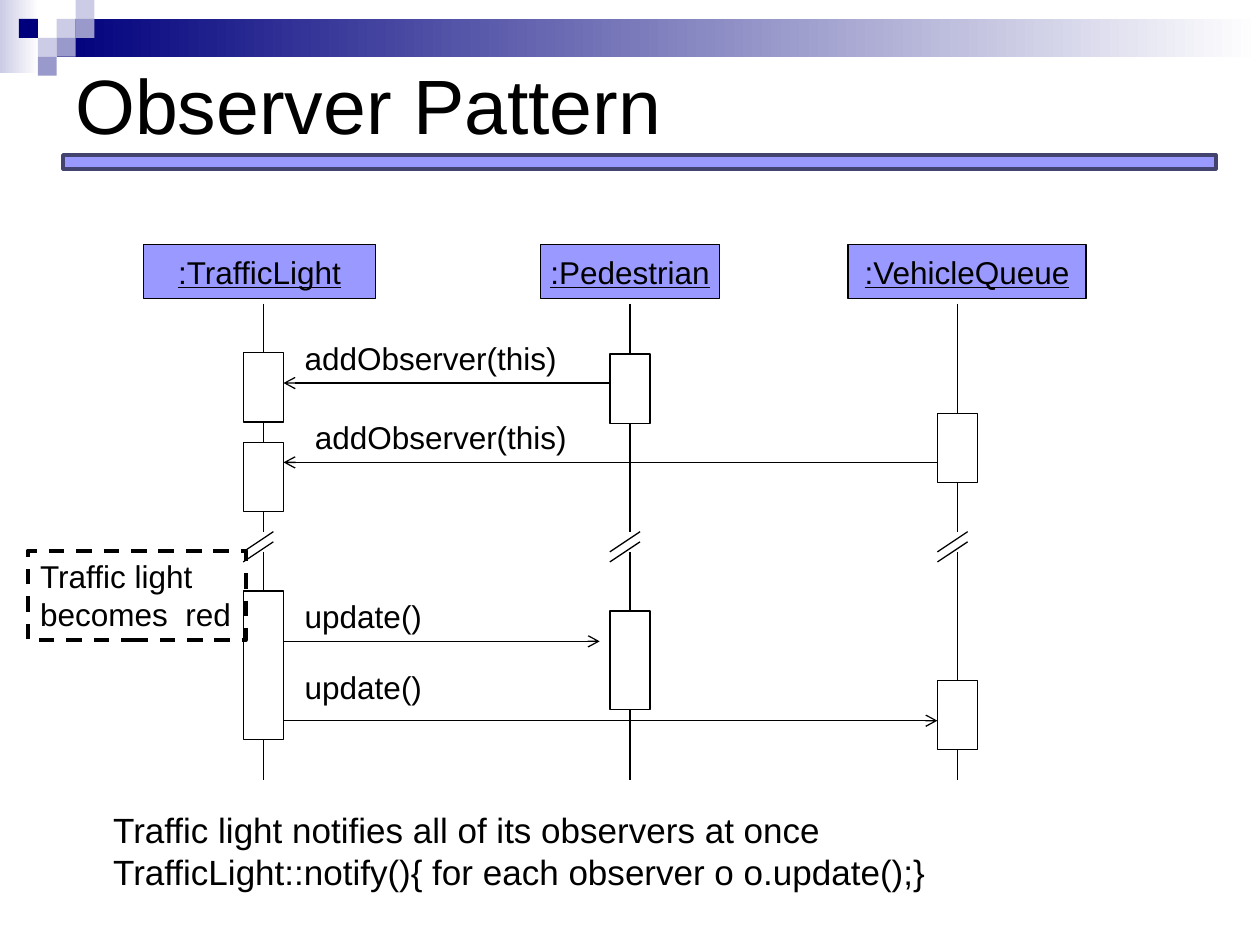
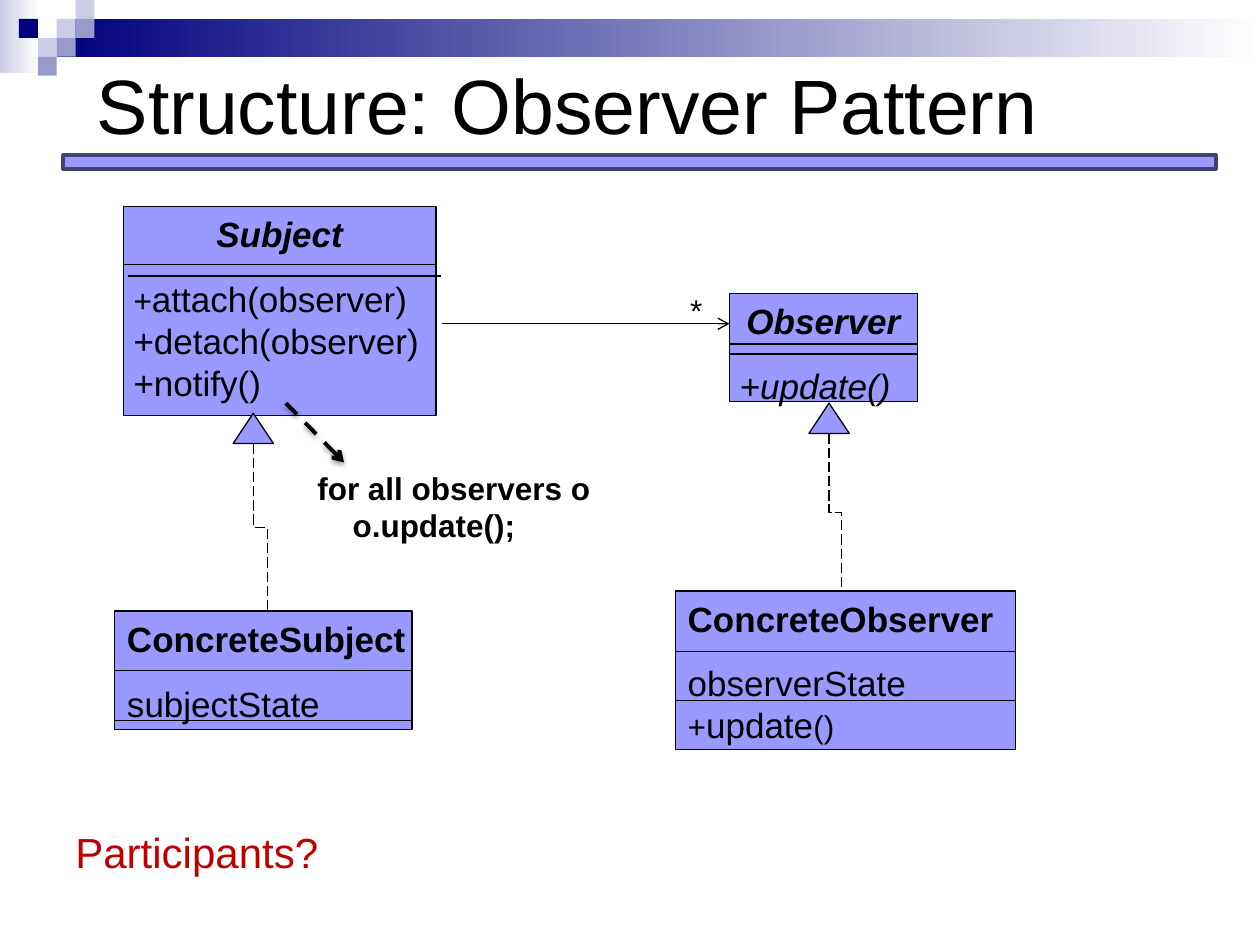
from dataclasses import dataclass

from lxml import etree
from pptx import Presentation
from pptx.dml.color import RGBColor
from pptx.enum.dml import MSO_LINE
from pptx.enum.shapes import MSO_CONNECTOR, MSO_SHAPE
from pptx.enum.text import MSO_ANCHOR, PP_ALIGN
from pptx.oxml.ns import qn
from pptx.util import Inches, Pt

RECT, TRIANGLE = MSO_SHAPE.RECTANGLE, MSO_SHAPE.ISOSCELES_TRIANGLE
STRAIGHT, ELBOW = MSO_CONNECTOR.STRAIGHT, MSO_CONNECTOR.ELBOW
DASH, LONG_DASH = MSO_LINE.DASH, MSO_LINE.LONG_DASH
TOP, MIDDLE = MSO_ANCHOR.TOP, MSO_ANCHOR.MIDDLE
LEFT, CENTER = PP_ALIGN.LEFT, PP_ALIGN.CENTER


@dataclass(frozen=True)
class Theme:
    font: str = "Arial"
    ink: RGBColor = RGBColor(0, 0, 0)
    paper: RGBColor = RGBColor(0xFF, 0xFF, 0xFF)
    navy: RGBColor = RGBColor(0x00, 0x00, 0x7D)
    mist: RGBColor = RGBColor(0xCC, 0xCC, 0xE6)
    slate: RGBColor = RGBColor(0x99, 0x99, 0xCC)
    violet: RGBColor = RGBColor(0x99, 0x99, 0xFF)
    rule_edge: RGBColor = RGBColor(0x43, 0x43, 0x70)
    question: RGBColor = RGBColor(0xC0, 0x00, 0x00)
    title: float = 44
    prompt: float = 24
    body: float = 20
    label: float = 18
    thin: float = 0.75
    rule: float = 2
    thick: float = 2.25


THEME = Theme()


@dataclass(frozen=True)
class Box:
    left: float
    top: float
    width: float
    height: float

    def inner(self, x, y, width, height):
        """Return a box whose corner is measured from this one's corner."""
        return Box(self.left + x, self.top + y, width, height)

    def inches(self):
        return [Inches(v) for v in (self.left, self.top, self.width, self.height)]


@dataclass(frozen=True)
class Run:
    text: str
    size: float = THEME.label
    bold: bool = False
    italic: bool = False
    underline: bool = False
    color: RGBColor = THEME.ink


@dataclass(frozen=True)
class Para:
    runs: tuple
    align: PP_ALIGN = LEFT
    before: float = 0
    indent: float = 0


def para(text, size=THEME.label, align=LEFT, before=0, indent=0, **style):
    return Para((Run(text, size, **style),), align, before, indent)


def write(shape, paras, anchor=TOP, sides=(0.1, 0)):
    """Fill a shape with paragraphs; sides are the left and right insets."""
    frame = shape.text_frame
    frame.word_wrap = True
    frame.vertical_anchor = anchor
    frame.margin_left, frame.margin_right = map(Inches, sides)
    for i, item in enumerate(paras):
        paragraph = frame.add_paragraph() if i else frame.paragraphs[0]
        paragraph.alignment = item.align
        paragraph.space_before = Pt(item.before)
        if item.indent:
            paragraph._p.get_or_add_pPr().set("marL", str(Inches(item.indent)))
        for piece in item.runs:
            run = paragraph.add_run()
            run.text = piece.text
            font = run.font
            font.name, font.size = THEME.font, Pt(piece.size)
            font.bold, font.italic = piece.bold, piece.italic
            font.underline = piece.underline
            font.color.rgb = piece.color


def add_text(slide, box, paras, **layout):
    write(slide.shapes.add_textbox(*box.inches()), paras, **layout)


def add_block(slide, box, fill=None, edge=THEME.ink, width=THEME.thin, kind=RECT):
    """Draw a preset shape; a pair of colours as fill makes a gradient."""
    shape = slide.shapes.add_shape(kind, *box.inches())
    shape.shadow.inherit = False
    if fill is None:
        shape.fill.background()
    elif isinstance(fill, list):
        shape.fill.gradient()
        shape.fill.gradient_angle = 0
        for stop, color in zip(shape.fill.gradient_stops, fill):
            stop.color.rgb = color
    else:
        shape.fill.solid()
        shape.fill.fore_color.rgb = fill
    if edge is None:
        shape.line.fill.background()
    else:
        shape.line.color.rgb = edge
        shape.line.width = Pt(width)
    return shape


def add_line(slide, start, end, width=THEME.thin, dash=None, arrow=False,
             kind=STRAIGHT, shadow=False):
    line = slide.shapes.add_connector(kind, *map(Inches, (*start, *end)))
    line.line.color.rgb = THEME.ink
    line.line.width = Pt(width)
    if dash is not None:
        line.line.dash_style = dash
    if arrow:
        etree.SubElement(line.get_or_add_ln(), qn("a:tailEnd"), type="arrow")
    effects = etree.SubElement(line._element.spPr, qn("a:effectLst"))
    if shadow:
        outer = etree.SubElement(effects, qn("a:outerShdw"), blurRad=str(Pt(3.1)),
                                 dist=str(Pt(1.6)), dir="5400000", rotWithShape="0")
        black = etree.SubElement(outer, qn("a:srgbClr"), val=str(THEME.ink))
        etree.SubElement(black, qn("a:alpha"), val="38000")
    return line


def add_drop(slide, start, end):
    """Dashed elbow that leaves downwards and arrives downwards."""
    (x1, y1), (x2, y2) = start, end
    mid_x, mid_y = (x1 + x2) / 2, (y1 + y2) / 2
    half_run, half_rise = (y2 - y1) / 2, (x2 - x1) / 2
    elbow = add_line(slide, (mid_x - half_run, mid_y - half_rise),
                     (mid_x + half_run, mid_y + half_rise), dash=LONG_DASH, kind=ELBOW)
    xfrm = elbow._element.spPr.find(qn("a:xfrm"))
    xfrm.set("rot", str(270 * 60000))
    xfrm.set("flipH", "1")


def add_frame(slide, title, shift=0):
    """Banner, mosaic, rule and title shared by all slides."""
    tile = 0.15
    add_block(slide, Box(0, 0, 0.31, 0.58), [THEME.mist, THEME.paper], None)
    add_block(slide, Box(0.45, tile, 9.55, 0.3), [THEME.navy, THEME.paper], None)
    mosaic = [(3, 1, THEME.mist), (4, 0, THEME.mist), (4, 1, THEME.slate),
              (2, 2, THEME.mist), (1, 1, THEME.navy), (3, 2, THEME.slate),
              (2, 3, THEME.slate)]
    for column, row, color in mosaic:
        add_block(slide, Box(column * tile, row * tile, tile, tile), color, None)
    add_block(slide, Box(0.5, 1.23, 9.15, 0.11), THEME.violet, THEME.rule_edge, THEME.rule)
    add_text(slide, Box(0.5 + shift, 0.07, 9, 1.5), [para(title, THEME.title)], anchor=MIDDLE)


def add_lifeline(slide, box, name, header, axis, activations):
    """Header, broken line and activation bars; header is (left, width)."""
    left, width = header
    head = add_block(slide, box.inner(left, 0, width, 0.43), THEME.violet)
    write(head, [para(name, align=CENTER, underline=True)], MIDDLE, (0, 0))
    x, y = box.left + axis, box.top
    for top, bottom in ((0.47, 2.28), (2.44, 4.25)):
        add_line(slide, (x, y + top), (x, y + bottom))
    for top in (2.28, 2.36):
        add_line(slide, (x + 0.08, y + top), (x - 0.16, y + top + 0.16))
    for top, height in activations:
        add_block(slide, box.inner(axis - 0.16, top, 0.32, height), THEME.paper)


def add_sequence(slide, box):
    light, pedestrian, queue = 0.95, 3.86, 6.46
    messages = [("addObserver(this)", 1.18, 0.7, pedestrian - 0.16, light + 0.16, 1.1),
                ("addObserver(this)", 1.26, 1.33, queue - 0.16, light + 0.16, 1.73),
                ("update()", 1.18, 2.75, light + 0.16, pedestrian - 0.24, 3.15),
                ("update()", 1.18, 3.31, light + 0.16, queue - 0.16, 3.78)]
    lifelines = [
        (":TrafficLight", (0, 1.84), light, [(0.86, 0.55), (1.57, 0.55), (2.75, 1.18)]),
        (":Pedestrian", (3.15, 1.42), pedestrian, [(0.87, 0.55), (2.91, 0.78)]),
        (":VehicleQueue", (5.59, 1.89), queue, [(1.34, 0.55), (3.46, 0.55)]),
    ]
    for lifeline in lifelines:
        add_lifeline(slide, box, *lifeline)
    for label, label_x, label_y, sender, receiver, y in messages:
        add_line(slide, (box.left + sender, box.top + y),
                 (box.left + receiver, box.top + y), arrow=True)
        add_text(slide, box.inner(label_x, label_y, 2.3, 0.4), [para(label)])


def add_class(slide, box, paras, dividers, sides=(0.1, 0)):
    """UML class; each divider is (distance from top, shift to the right)."""
    write(add_block(slide, box, THEME.violet), paras, sides=sides)
    for y, shift in dividers:
        left = box.left + shift
        add_line(slide, (left, box.top + y), (left + box.width, box.top + y))


def add_inheritance(slide, tip, child):
    """Triangle under the parent at tip, dashed line down to the child."""
    x, y = tip
    add_block(slide, Box(x - 0.16, y, 0.32, 0.24), THEME.violet, kind=TRIANGLE)
    add_drop(slide, (x, y + 0.24), child)


def add_structure(slide, box):
    gap, body = 13, THEME.body
    abstract = {"size": body, "align": CENTER, "bold": True, "italic": True}
    inset = (0.08, 0.08)
    x, y = box.left, box.top

    add_class(slide, box.inner(0.07, 0, 2.48, 1.66), [
        para("Subject", **abstract),
        Para((Run("+"), Run("attach(observer)", body)), before=gap),
        para("+detach(observer)", body),
        para("+notify()", body),
    ], [(0.46, 0), (0.55, 0.04)], inset)
    add_class(slide, box.inner(4.88, 0.69, 1.49, 0.86), [
        para("Observer", **abstract),
        para("+update()", body, before=gap, italic=True),
    ], [(0.4, 0), (0.48, 0)], inset)
    add_class(slide, box.inner(4.45, 3.05, 2.7, 1.26), [
        para("ConcreteObserver", body, bold=True),
        para("observerState", body, before=gap),
        Para((Run("+"), Run("update", body), Run("()"))),
    ], [(0.48, 0), (0.87, 0)])
    add_class(slide, box.inner(0, 3.21, 2.36, 0.94), [
        para("ConcreteSubject", body, bold=True),
        para("subjectState", body, before=gap),
    ], [(0.47, 0), (0.87, 0)])

    add_inheritance(slide, (x + 1.1, y + 1.64), (x + 1.21, y + 3.21))
    add_inheritance(slide, (x + 5.67, y + 1.56), (x + 5.77, y + 3.05))
    add_line(slide, (x + 2.6, y + 0.93), (x + 4.88, y + 0.93), arrow=True)
    add_text(slide, box.inner(4.47, 0.62, 0.3, 0.4), [para("*")])
    add_line(slide, (x + 1.36, y + 1.56), (x + 1.82, y + 2.03), THEME.thick, DASH,
             arrow=True, shadow=True)
    add_text(slide, box.inner(1.51, 2.03, 2.39, 0.71), [
        para("for all observers o", bold=True),
        para("o.update();", bold=True, indent=0.28),
    ])


def build_sequence_slide(slide):
    add_frame(slide, "Observer Pattern")
    add_sequence(slide, Box(1.14, 1.94, 7.48, 4.25))
    add_text(slide, Box(0.8, 6.37, 7, 0.77), [
        para("Traffic light notifies all of its observers at once", THEME.body),
        para("TrafficLight::notify(){ for each observer o o.update();}", THEME.body),
    ])
    state = add_block(slide, Box(0.22, 4.37, 1.73, 0.71), width=THEME.thick)
    state.line.dash_style = DASH
    write(state, [para("Traffic light"), para("becomes  red")])


def build_structure_slide(slide):
    add_frame(slide, "Structure: Observer Pattern", shift=0.17)
    add_structure(slide, Box(0.91, 1.64, 7.15, 4.31))
    add_text(slide, Box(0.5, 6.51, 2.15, 0.5),
             [para("Participants?", THEME.prompt, color=THEME.question)])


def main():
    deck = Presentation()
    deck.slide_width, deck.slide_height = Inches(10), Inches(7.5)
    blank = deck.slide_layouts[6]
    for build in (build_sequence_slide, build_structure_slide):
        build(deck.slides.add_slide(blank))
    deck.save("out.pptx")


if __name__ == "__main__":
    main()
